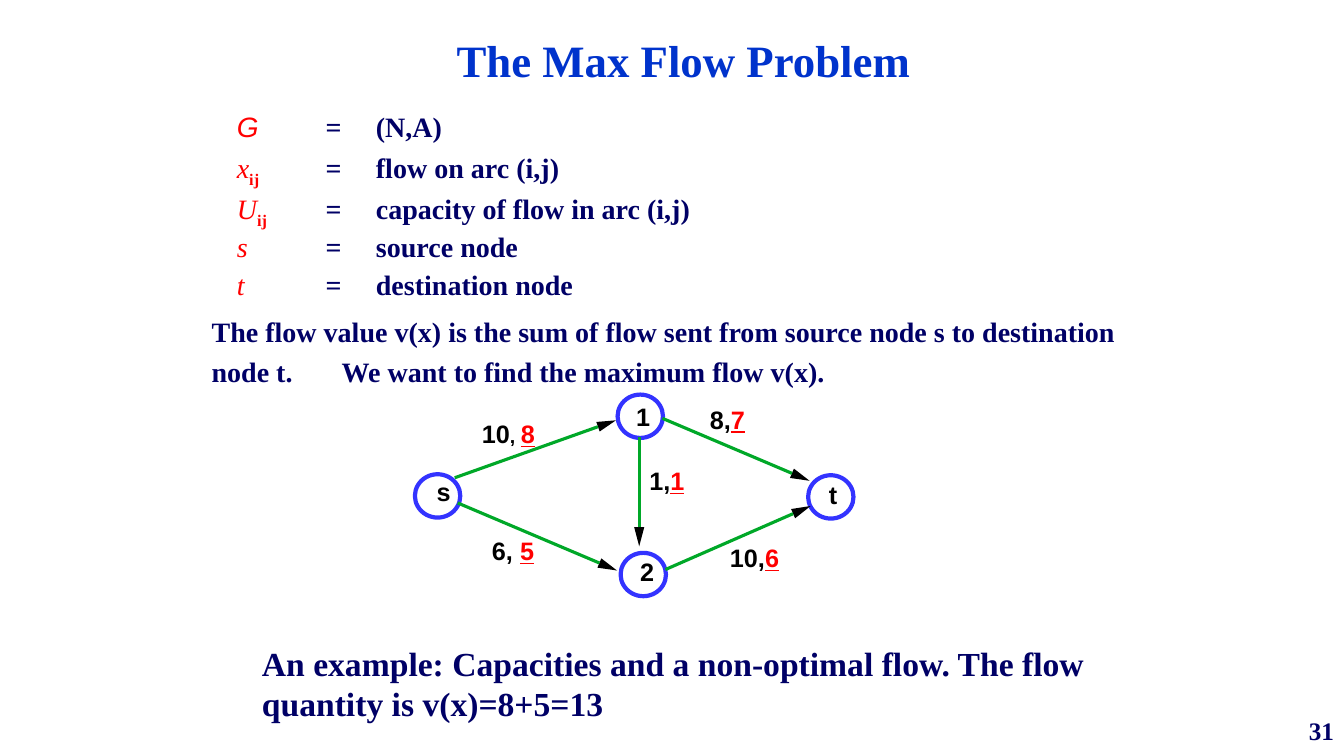
import math

from lxml import etree
from pptx import Presentation
from pptx.dml.color import RGBColor
from pptx.enum.shapes import MSO_CONNECTOR, MSO_SHAPE
from pptx.enum.text import MSO_ANCHOR, PP_ALIGN
from pptx.oxml.ns import qn
from pptx.util import Emu, Inches, Pt

OVAL = MSO_SHAPE.OVAL
STRAIGHT = MSO_CONNECTOR.STRAIGHT
TOP, MIDDLE, BOTTOM = MSO_ANCHOR.TOP, MSO_ANCHOR.MIDDLE, MSO_ANCHOR.BOTTOM
LEFT, CENTER, RIGHT = PP_ALIGN.LEFT, PP_ALIGN.CENTER, PP_ALIGN.RIGHT

# Run formats
BODY = {"name": "Times New Roman", "size": Pt(20), "bold": True, "color": "000066"}
TITLE = {**BODY, "size": Pt(32), "color": "0033CC"}
EXAMPLE = {**BODY, "size": Pt(24)}
PAGE = {**BODY, "size": Pt(18)}
SYMBOL = {**BODY, "bold": False, "italic": True, "color": "FF0000"}
GRAPH_SYMBOL = {**SYMBOL, "name": "Arial"}
SUBSCRIPT = {**BODY, "color": "FF0000", "baseline": -25}
CAPACITY = {"name": "Arial", "size": Pt(18), "bold": True, "color": "000000"}
COMMA = {**CAPACITY, "size": Pt(14)}
FLOW = {**CAPACITY, "color": "FF0000", "underline": True}

# Symbol, subscript, meaning, symbol format
DEFINITIONS = [
    ("G", "", "(N,A)", GRAPH_SYMBOL),
    ("x", "ij", "flow on arc (i,j)", SYMBOL),
    ("U", "ij", "capacity of flow in arc (i,j)", SYMBOL),
    ("s", "", "source node", SYMBOL),
    ("t", "", "destination node", SYMBOL),
]
FLOW_VALUE = ("The flow value v(x) is the sum of flow sent from source node s to "
              "destination node t.\tWe want to find the maximum flow v(x).")
EXAMPLE_TEXT = ("An example: Capacities and a non-optimal flow. "
                "The flow quantity is v(x)=8+5=13")

# Name, centre of the ring, left and top of the name
NODES = [
    ("s", (4.34, 4.92), (4.33, 4.73)),
    ("1", (6.35, 4.13), (6.31, 3.98)),
    ("2", (6.38, 5.7), (6.35, 5.52)),
    ("t", (8.24, 4.93), (8.22, 4.76)),
]
NODE_SIZE = (0.45, 0.43)

# Tail, tip, left and top of the label, capacity, separator, flow
ARCS = [
    ((4.51, 4.74), (6.11, 4.17), (4.78, 4.15), "10", (", ", COMMA), "8"),
    ((4.54, 4.99), (6.12, 5.66), (4.88, 5.31), "6", (", ", CAPACITY), "5"),
    ((6.57, 4.15), (8.03, 4.77), (7.04, 4.01), "8", (",", CAPACITY), "7"),
    ((6.6, 5.65), (8.04, 5.02), (7.24, 5.38), "10", (",", CAPACITY), "6"),
    ((6.34, 4.34), (6.34, 5.42), (6.44, 4.62), "1", (",", CAPACITY), "1"),
]
HEAD_LENGTH, HEAD_HALF_WIDTH = 0.19, 0.05
LABEL_SIZE = (0.8, 0.4)


def rgb(value):
    return RGBColor.from_string(value)


def add_text(slide, box, paragraphs, anchor=TOP, align=LEFT, inset=True, **spacing):
    """Add a text box; each paragraph is a list of (text, format) runs."""
    shape = slide.shapes.add_textbox(*map(Inches, box))
    frame = shape.text_frame
    frame.word_wrap = True
    frame.vertical_anchor = anchor
    if not inset:
        for side in ("left", "top", "right", "bottom"):
            setattr(frame, f"margin_{side}", 0)
    for index, runs in enumerate(paragraphs):
        paragraph = frame.add_paragraph() if index else frame.paragraphs[0]
        paragraph.alignment = align
        for name, value in spacing.items():
            if index or name != "space_before":
                setattr(paragraph, name, value)
        for text, style in runs:
            run = paragraph.add_run()
            run.text = text
            for name, value in style.items():
                if name == "color":
                    run.font.color.rgb = rgb(value)
                elif name == "baseline":
                    run.font._element.set("baseline", str(value * 1000))
                else:
                    setattr(run.font, name, value)
    return frame


def set_hanging_indent(paragraph, indent):
    properties = paragraph._p.get_or_add_pPr()
    properties.set("marL", str(Inches(indent)))
    properties.set("indent", str(-Inches(indent)))


def set_tab_stop(paragraph, position):
    tabs = etree.SubElement(paragraph._p.get_or_add_pPr(), qn("a:tabLst"))
    etree.SubElement(tabs, qn("a:tab"), pos=str(Inches(position)), algn="l")


def add_node(slide, name, center, label_corner):
    width, height = NODE_SIZE
    corner = (center[0] - width / 2, center[1] - height / 2)
    ring = slide.shapes.add_shape(OVAL, *map(Inches, corner + NODE_SIZE))
    ring.shadow.inherit = False
    ring.fill.background()
    ring.line.color.rgb = rgb("3333FF")
    ring.line.width = Pt(3)
    add_text(slide, label_corner + LABEL_SIZE, [[(name, CAPACITY)]], inset=False)


def add_arc(slide, tail, tip):
    """Draw a green line that ends in a black triangular head."""
    length = math.dist(tail, tip)
    dx, dy = (tip[0] - tail[0]) / length, (tip[1] - tail[1]) / length
    base = (tip[0] - dx * HEAD_LENGTH, tip[1] - dy * HEAD_LENGTH)
    corners = [(base[0] - side * dy, base[1] + side * dx)
               for side in (HEAD_HALF_WIDTH, -HEAD_HALF_WIDTH)]
    points = [tuple(Emu(Inches(value)) for value in point) for point in [tip, *corners]]
    builder = slide.shapes.build_freeform(*points[0])
    builder.add_line_segments(points[1:], close=True)
    head = builder.convert_to_shape()
    head.shadow.inherit = False
    head.fill.solid()
    head.fill.fore_color.rgb = rgb("000000")
    head.line.fill.background()

    line = slide.shapes.add_connector(STRAIGHT, *map(Inches, tail + base))
    line.line.color.rgb = rgb("00A828")
    line.line.width = Pt(2.25)
    etree.SubElement(line._element.spPr, qn("a:effectLst"))


def add_definitions(slide):
    paragraphs = [
        [(symbol, style)] + ([(subscript, SUBSCRIPT)] if subscript else [])
        + [(f"\t\t=\t{meaning}", BODY)]
        for symbol, subscript, meaning, style in DEFINITIONS
    ]
    frame = add_text(slide, (2.25, 1.08, 8.45, 2), paragraphs,
                     line_spacing=0.9, space_before=Pt(5))
    for paragraph in frame.paragraphs:
        set_hanging_indent(paragraph, 0.38)


def main():
    presentation = Presentation()
    presentation.slide_width, presentation.slide_height = Inches(13.33), Inches(7.5)
    slide = presentation.slides.add_slide(presentation.slide_layouts[6])

    add_text(slide, (0.56, 0.33, 12.44, 0.58), [[("The Max Flow Problem", TITLE)]],
             anchor=BOTTOM, align=CENTER)
    add_definitions(slide)
    flow_value = add_text(slide, (2, 3, 9.25, 0.9), [[(FLOW_VALUE, BODY)]],
                          line_spacing=1.2)
    set_tab_stop(flow_value.paragraphs[0], 1.29)

    for node in NODES:
        add_node(slide, *node)
    for tail, tip, corner, capacity, separator, flow in ARCS:
        add_arc(slide, tail, tip)
        add_text(slide, corner + LABEL_SIZE,
                 [[(capacity, CAPACITY), separator, (flow, FLOW)]], inset=False)

    add_text(slide, (2.5, 6.33, 8.83, 0.91), [[(EXAMPLE_TEXT, EXAMPLE)]])
    add_text(slide, (10.78, 7, 2.55, 0.5), [[("31", PAGE)]], anchor=MIDDLE, align=RIGHT)
    presentation.save("out.pptx")


if __name__ == "__main__":
    main()
